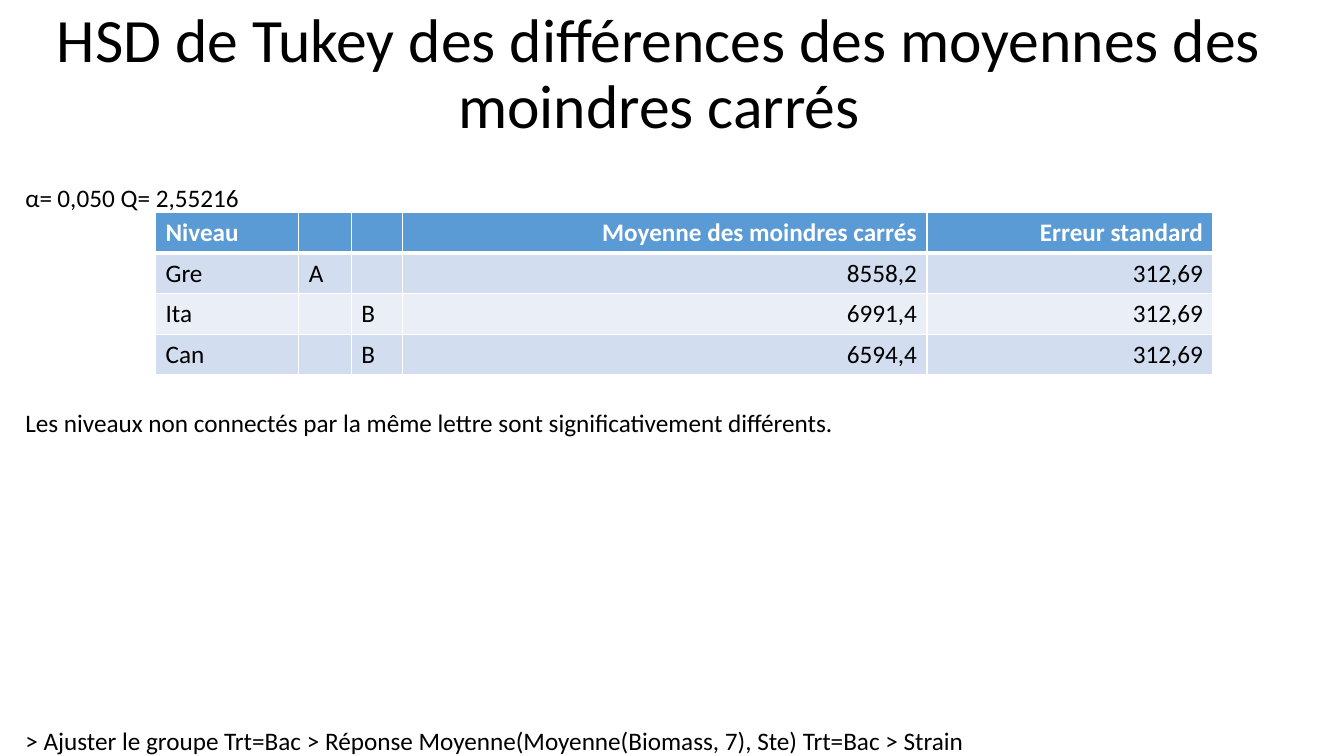
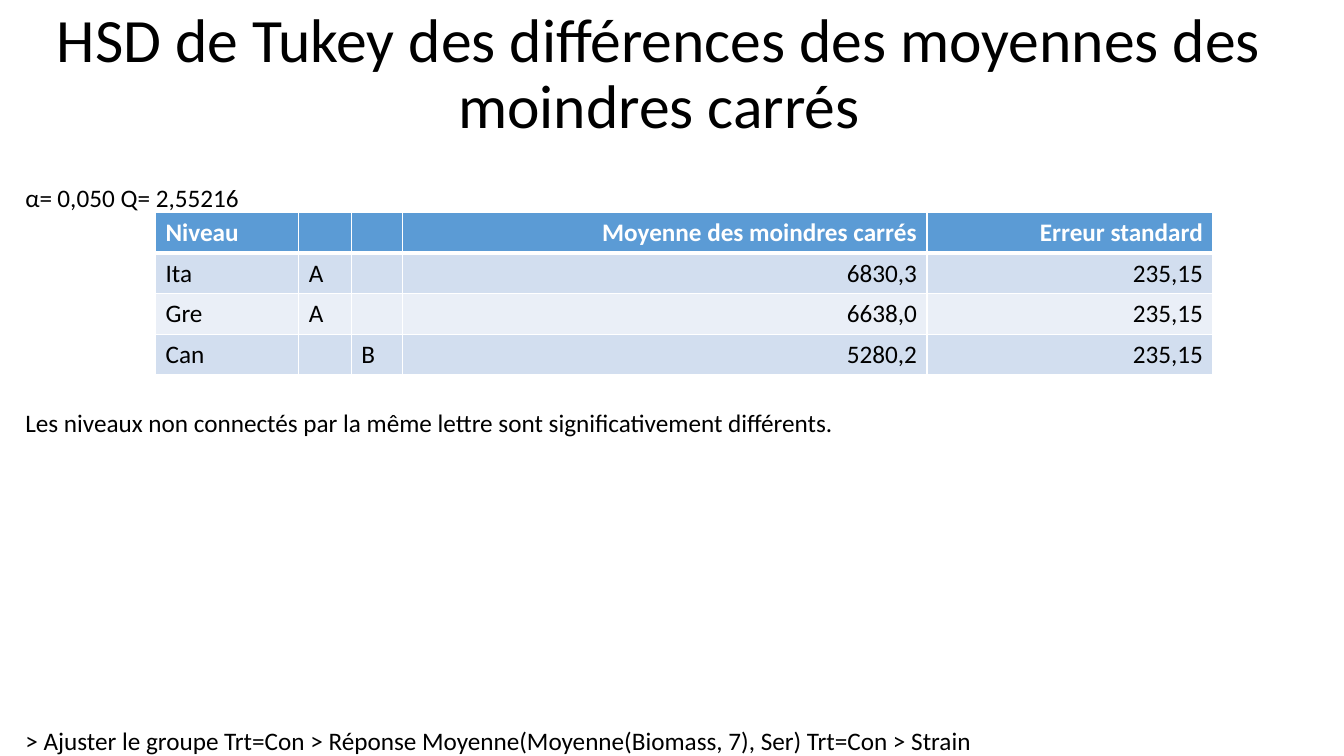
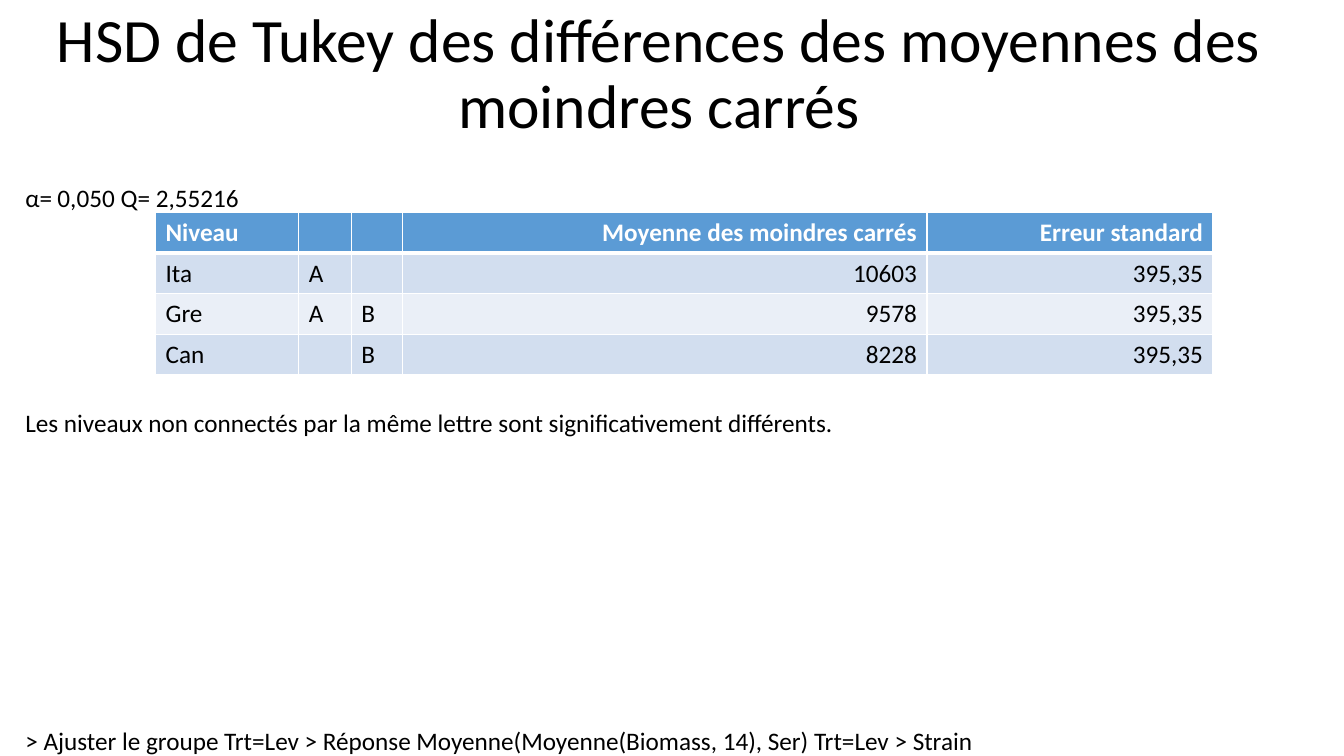
from dataclasses import dataclass

from pptx import Presentation
from pptx.dml.color import RGBColor
from pptx.enum.text import MSO_ANCHOR, MSO_AUTO_SIZE, PP_ALIGN
from pptx.oxml.ns import qn
from pptx.slide import Slide
from pptx.table import _Cell
from pptx.text.text import _Paragraph
from pptx.util import Cm, Pt
from lxml.etree import SubElement

# Shared look
BLACK = RGBColor(0x00, 0x00, 0x00)
WHITE = RGBColor(0xFF, 0xFF, 0xFF)
HEADER_BLUE = RGBColor(0x5B, 0x9B, 0xD5)
BANDS = (RGBColor(0xD2, 0xDE, 0xEF), RGBColor(0xEA, 0xEF, 0xF7))
FONT = "Calibri"
BODY_SIZE, TITLE_SIZE = 18, 44

# Shared geometry, in centimetres
SLIDE_W, SLIDE_H = 33.87, 19.05
MARGIN = 0.64
LINE_H = 0.78
STATS_TOP, NOTE_TOP = 4.6, 10.26
STATS_GAP = 0.09
NOTE_W, SOURCE_W = 20.6, 24.1
TITLE_W, TITLE_H = 33.22, 3.81
TABLE_LEFT, TABLE_TOP, ROW_H = 3.92, 5.36, 1.02
COLUMN_WIDTHS = (3.61, 1.32, 1.3, 13.21, 7.21)
FIRST_NUMBER_COLUMN = 3

# Shared wording
TITLE = "HSD de Tukey des différences des moyennes des moindres carrés"
NOTE = ("Les niveaux non connectés par la même lettre "
        "sont significativement différents.")
HEADINGS = ("Niveau", "", "", "Moyenne des moindres carrés", "Erreur standard")
STATS = (("α=", 0.72), ("0,050", 1.5), ("Q=", 0.8), ("2,55216", 2.15))


@dataclass(frozen=True)
class Level:
    name: str
    letters: str
    mean: str

    def cells(self, error: str) -> tuple[str, ...]:
        marks = (mark if mark in self.letters else "" for mark in "AB")
        return (self.name, *marks, self.mean, error)


@dataclass(frozen=True)
class TukeyTest:
    treatment: str
    response: str
    error: str
    levels: tuple[Level, ...]

    @property
    def source(self) -> str:
        group = f"Trt={self.treatment}"
        return (f"> Ajuster le groupe {group} > Réponse "
                f"Moyenne(Moyenne(Biomass, {self.response}) {group} > Strain")


TESTS = (
    TukeyTest("Bac", "7), Ste", "312,69", (
        Level("Gre", "A", "8558,2"),
        Level("Ita", "B", "6991,4"),
        Level("Can", "B", "6594,4"))),
    TukeyTest("Con", "7), Ser", "235,15", (
        Level("Ita", "A", "6830,3"),
        Level("Gre", "A", "6638,0"),
        Level("Can", "B", "5280,2"))),
    TukeyTest("Lev", "14), Ser", "395,35", (
        Level("Ita", "A", "10603"),
        Level("Gre", "AB", "9578"),
        Level("Can", "B", "8228"))),
)


def write(paragraph: _Paragraph, text: str, size: int = BODY_SIZE,
          color: RGBColor = BLACK, bold: bool = False) -> None:
    run = paragraph.add_run()
    run.text = text
    for attribute, value in {"name": FONT, "size": Pt(size), "bold": bold}.items():
        setattr(run.font, attribute, value)
    run.font.color.rgb = color


def add_line(slide: Slide, text: str, left: float, top: float, width: float) -> None:
    """Add one unwrapped line of text without insets."""
    frame = slide.shapes.add_textbox(Cm(left), Cm(top), Cm(width), Cm(LINE_H)).text_frame
    line_format = {"margin_left": 0, "margin_top": 0, "margin_right": 0,
                   "margin_bottom": 0, "word_wrap": False,
                   "auto_size": MSO_AUTO_SIZE.SHAPE_TO_FIT_TEXT}
    for attribute, value in line_format.items():
        setattr(frame, attribute, value)
    write(frame.paragraphs[0], text)


def add_title(slide: Slide) -> None:
    title = slide.shapes.title
    place = {"left": 0, "top": 0, "width": Cm(TITLE_W), "height": Cm(TITLE_H)}
    for attribute, value in place.items():
        setattr(title, attribute, value)
    frame = title.text_frame
    frame.vertical_anchor = MSO_ANCHOR.MIDDLE
    frame.auto_size = MSO_AUTO_SIZE.NONE
    paragraph = frame.paragraphs[0]
    paragraph.alignment = PP_ALIGN.CENTER
    paragraph.line_spacing = 0.9
    write(paragraph, TITLE, TITLE_SIZE)


def set_borders(cell: _Cell, top: float, bottom: float) -> None:
    """Draw white borders; the lines must precede the fill in the XML."""
    properties = cell._tc.get_or_add_tcPr()
    for side, width in {"lnL": 1, "lnR": 1, "lnT": top, "lnB": bottom}.items():
        line = SubElement(properties, qn(f"a:{side}"), w=str(Pt(width)))
        fill = SubElement(line, qn("a:solidFill"))
        SubElement(fill, qn("a:srgbClr"), val=str(WHITE))


def add_levels_table(slide: Slide, test: TukeyTest) -> None:
    rows = [HEADINGS] + [level.cells(test.error) for level in test.levels]
    table = slide.shapes.add_table(
        len(rows), len(HEADINGS), Cm(TABLE_LEFT), Cm(TABLE_TOP),
        Cm(sum(COLUMN_WIDTHS)), Cm(ROW_H * len(rows))).table
    for column, width in zip(table.columns, COLUMN_WIDTHS):
        column.width = Cm(width)
    for r, texts in enumerate(rows):
        header = r == 0
        for c, text in enumerate(texts):
            cell = table.cell(r, c)
            set_borders(cell, top=3 if r == 1 else 1, bottom=3 if header else 1)
            cell.fill.solid()
            cell.fill.fore_color.rgb = HEADER_BLUE if header else BANDS[(r - 1) % 2]
            if text:
                paragraph = cell.text_frame.paragraphs[0]
                if c >= FIRST_NUMBER_COLUMN:
                    paragraph.alignment = PP_ALIGN.RIGHT
                write(paragraph, text, color=WHITE if header else BLACK, bold=header)


def add_test_slide(deck: Presentation, test: TukeyTest) -> None:
    slide = deck.slides.add_slide(deck.slide_layouts[5])
    add_title(slide)
    # Test statistics, side by side
    left = MARGIN
    for text, width in STATS:
        add_line(slide, text, left, STATS_TOP, width)
        left += width + STATS_GAP
    # Results and reading note
    add_levels_table(slide, test)
    add_line(slide, NOTE, MARGIN, NOTE_TOP, NOTE_W)
    # Origin of the analysis, on the bottom edge
    add_line(slide, test.source, MARGIN, SLIDE_H - LINE_H, SOURCE_W)


def main() -> None:
    deck = Presentation()
    deck.slide_width, deck.slide_height = Cm(SLIDE_W), Cm(SLIDE_H)
    for test in TESTS:
        add_test_slide(deck, test)
    deck.save("out.pptx")


if __name__ == "__main__":
    main()
